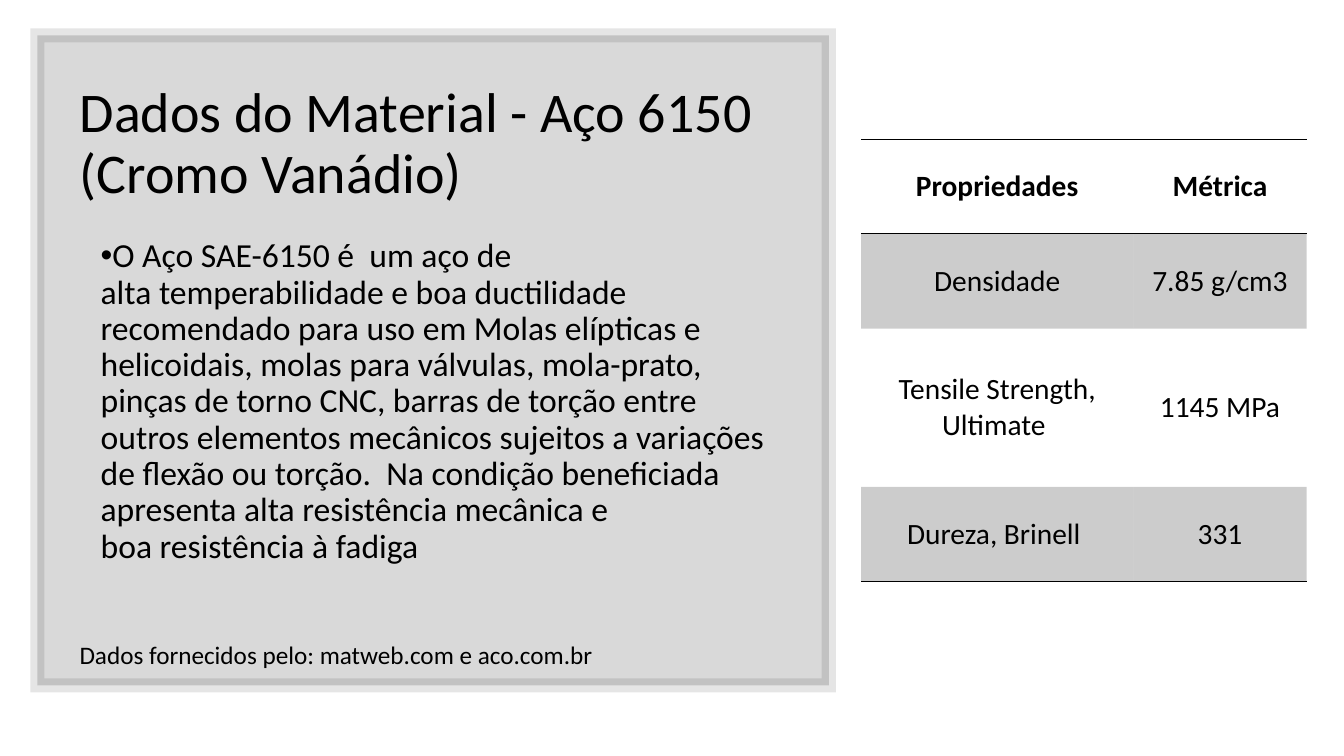
import pptx
import pptx.util
import pptx.dml.color
import pptx.enum.shapes
import pptx.enum.text
import pptx.oxml.ns
import lxml.etree

Inches = pptx.util.Inches
Pt = pptx.util.Pt
Align = pptx.enum.text.PP_ALIGN
Anchor = pptx.enum.text.MSO_ANCHOR
Fit = pptx.enum.text.MSO_AUTO_SIZE
qn = pptx.oxml.ns.qn

BLACK = "000000"
HARD_SPACE = chr(160)
PLAIN_STYLE = "{2D5ABB26-0587-4C30-8999-92F81FD0307C}"
TITLE = "Dados do Material - Aço 6150 (Cromo Vanádio)"
BODY = (
    "O~Aço SAE-6150~é~ um aço de alta~temperabilidade e boa ductilidade "
    "recomendado para uso em~Molas elípticas e helicoidais,~molas para válvulas, "
    "mola-prato, pinças de torno CNC, barras de torção entre outros elementos "
    "mecânicos sujeitos a variações de flexão ou torção.~~Na condição~beneficiada "
    "apresenta alta~resistência mecânica e boa~resistência à fadiga"
)
SOURCE = "Dados fornecidos pelo: matweb.com e aco.com.br"
ROWS = [
    ("Propriedades", "Métrica"),
    ("Densidade", "7.85 g/cm3"),
    ("Tensile Strength, Ultimate~", "1145 MPa"),
    ("Dureza, Brinell~", "331"),
]
WIDTHS = [2.7, 1.72]
HEIGHTS = [0.94, 0.94, 1.57, 0.94]


def paint(fill, color, alpha=100):
    fill.solid()
    fill.fore_color.rgb = pptx.dml.color.RGBColor.from_string(color)
    if alpha < 100:
        tint = fill._xPr.find(qn("a:solidFill")).find(qn("a:srgbClr"))
        lxml.etree.SubElement(tint, qn("a:alpha"), val=str(alpha * 1000))


def write(para, text, size, bold=False):
    run = para.add_run()
    run.text = text.replace("~", HARD_SPACE)
    font = run.font
    font.name = "Calibri"
    font.size = Pt(size)
    font.bold = bold
    paint(font.fill, BLACK)


def place(shape, box):
    shape.left, shape.top, shape.width, shape.height = map(Inches, box)


def add_panel(slide, box):
    kind = pptx.enum.shapes.MSO_SHAPE.RECTANGLE
    panel = slide.shapes.add_shape(kind, *map(Inches, box))
    panel.shadow.inherit = False
    paint(panel.fill, BLACK, 15)
    panel.line.width = Pt(10)
    paint(panel.line.fill, BLACK, 10)
    edge = panel.line.fill._xPr
    lxml.etree.SubElement(edge, qn("a:miter"), lim="800000")


def set_title(slide, box):
    title = slide.shapes.title
    place(title, box)
    frame = title.text_frame
    frame.auto_size = Fit.NONE
    frame.vertical_anchor = Anchor.MIDDLE
    para = frame.paragraphs[0]
    para.alignment = Align.LEFT
    para.line_spacing = 0.9
    write(para, TITLE, 40)


def add_text(slide, box, text, size, fit=Fit.NONE):
    frame = slide.shapes.add_textbox(*map(Inches, box)).text_frame
    frame.word_wrap = True
    frame.auto_size = fit
    para = frame.paragraphs[0]
    write(para, text, size)
    return para


def add_bullet(para):
    props = para._p.get_or_add_pPr()
    props.set("marL", "0")
    props.set("indent", str(-Inches(0.25)))
    lxml.etree.SubElement(props, qn("a:buFont"), typeface="Arial")
    lxml.etree.SubElement(props, qn("a:buChar"), char="•")
    para.line_spacing = 0.9
    para.space_after = Pt(6)


def add_edge(cell, side):
    props = cell._tc.get_or_add_tcPr()
    edge = lxml.etree.SubElement(props, qn("a:ln" + side), w=str(Pt(1)))
    solid = lxml.etree.SubElement(edge, qn("a:solidFill"))
    lxml.etree.SubElement(solid, qn("a:srgbClr"), val=BLACK)


def fill_cell(cell, text, row):
    cell.vertical_anchor = Anchor.MIDDLE
    cell.margin_left = cell.margin_right = Inches(0.12)
    cell.margin_top = cell.margin_bottom = Inches(0.06)
    if row == 0:
        add_edge(cell, "T")
    if row in (0, len(ROWS) - 1):
        add_edge(cell, "B")
    if row % 2:
        paint(cell.fill, BLACK, 20)
    else:
        cell.fill.background()
    para = cell.text_frame.paragraphs[0]
    para.alignment = Align.CENTER
    write(para, text, 21, row == 0)


def add_grid(slide, left, top):
    box = (left, top, sum(WIDTHS), sum(HEIGHTS))
    frame = slide.shapes.add_table(len(ROWS), len(WIDTHS), *map(Inches, box))
    grid = frame.table
    grid._tbl.tblPr.find(qn("a:tableStyleId")).text = PLAIN_STYLE
    grid.horz_banding = False
    for col, width in zip(grid.columns, WIDTHS):
        col.width = Inches(width)
    for row, texts in enumerate(ROWS):
        grid.rows[row].height = Inches(HEIGHTS[row])
        for col, text in enumerate(texts):
            fill_cell(grid.cell(row, col), text, row)


def main():
    deck = pptx.Presentation()
    deck.slide_width = Inches(13.33)
    deck.slide_height = Inches(7.5)
    slide = deck.slides.add_slide(deck.slide_layouts[5])
    add_panel(slide, (0.37, 0.35, 7.85, 6.45))
    set_title(slide, (0.69, 0.7, 7.19, 1.47))
    add_bullet(add_text(slide, (0.9, 2.32, 6.79, 3.97), BODY, 24))
    add_grid(slide, 8.54, 1.38)
    add_text(slide, (0.69, 6.29, 6.29, 0.4), SOURCE, 18, Fit.SHAPE_TO_FIT_TEXT)
    deck.save("out.pptx")


if __name__ == "__main__":
    main()
